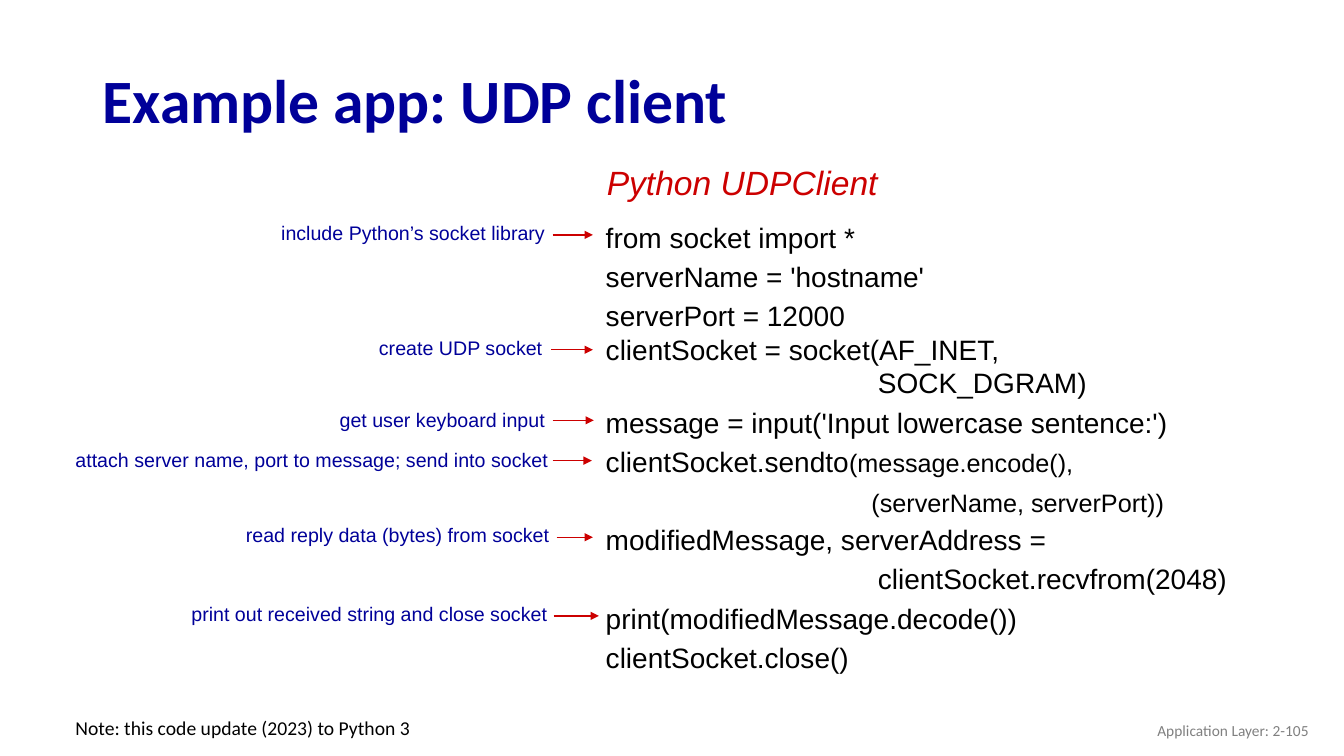
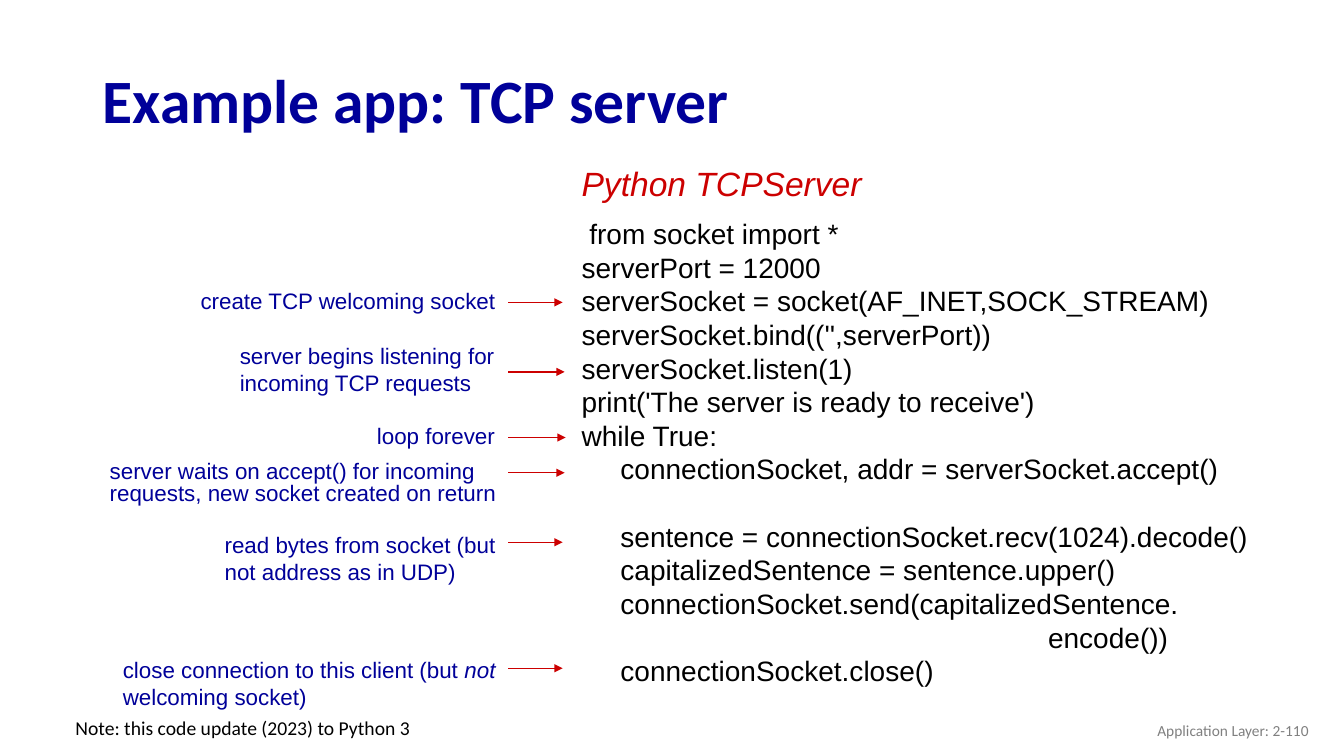
from lxml import etree
from pptx import Presentation
from pptx import util as u
from pptx.dml import color
from pptx.enum import shapes, text
from pptx.oxml import ns

NAVY = color.RGBColor(0x00, 0x00, 0x99)
RED = color.RGBColor(0xCC, 0x00, 0x00)
BLACK = color.RGBColor(0x00, 0x00, 0x00)
GRAY = color.RGBColor(0x80, 0x80, 0x80)

TITLE = {"name": "Calibri", "size": 44, "bold": True, "color": NAVY}
HEAD = {"name": "Arial", "size": 24, "italic": True, "color": RED}
CODE = {"name": "Arial", "size": 20, "color": BLACK}
LABEL = {"name": "Arial", "size": 14, "color": NAVY}
FOOT = {"name": "Calibri", "size": 14, "color": BLACK}
PAGE = {"name": "Calibri", "size": 11, "color": GRAY}

UDP = {
    "title": "Example app: UDP client",
    "head": "Python UDPClient",
    "head_box": (5.92, 1.56, 3.2, 0.51),
    "code_box": (5.91, 2.08, 6.8, 4.67),
    "page": "Application Layer: 2-105",
    "size": 14,
    "code": [
        ("from socket import *", 28),
        ("serverName = 'hostname'", 28),
        ("serverPort = 12000", 28),
        ("clientSocket = socket(AF_INET,", 24),
        ("                                   SOCK_DGRAM)", 24),
        ("message = input('Input lowercase sentence:')", 28),
        ([("clientSocket.sendto", {}), ("(message.encode(),", {"size": 18})], 28),
        ([("                                      (serverName, serverPort))",
           {"size": 18})], 28),
        ("modifiedMessage, serverAddress =", 28),
        ("                                   clientSocket.recvfrom(2048)", 28),
        ("print(modifiedMessage.decode())", 28),
        ("clientSocket.close()", 28),
    ],
    "notes": [
        ("include Python’s socket library", (2.69, 2.15, 3.31, 0.33), 16, (5.48, 5.88, 0.18)),
        ("create UDP socket", (3.66, 3.28, 3.22, 0.34), None, (5.47, 5.88, 0.19)),
        ("get user keyboard input", (3.27, 4.01, 3.22, 0.33), 16, (5.48, 5.89, 0.16)),
        ("attach server name, port to message; send into socket",
         (0.65, 4.39, 5.16, 0.34), None, (5.48, 5.87, 0.18)),
        ("read reply data (bytes) from socket",
         (2.34, 5.14, 4.47, 0.34), None, (5.52, 5.88, 0.19)),
        ("print out received string and close socket",
         (1.8, 5.92, 4.03, 0.34), None, (5.49, 5.94, 0.19)),
    ],
}

TCP = {
    "title": "Example app: TCP server",
    "head": "Python TCPServer",
    "head_box": (5.67, 1.57, 3.2, 0.51),
    "code_box": (5.67, 2.1, 7.1, 4.81),
    "page": "Application Layer: 2-110",
    "size": 16,
    "code": [
        (" from socket import *", 24),
        ("serverPort = 12000", 24),
        ("serverSocket = socket(AF_INET,SOCK_STREAM)", 24),
        ("serverSocket.bind(('',serverPort))", 24),
        ("serverSocket.listen(1)", 24),
        ("print('The server is ready to receive')", 24),
        ("while True:", 24),
        ("     connectionSocket, addr = serverSocket.accept()", 24),
        ("     sentence = connectionSocket.recv(1024).decode()", 24, 24),
        ("     capitalizedSentence = sentence.upper()", 24),
        ("     connectionSocket.send(capitalizedSentence.", 24),
        ("                                                            encode())", 24),
        ("     connectionSocket.close()", 24),
    ],
    "notes": [
        ("create TCP welcoming socket", (1.89, 2.8, 3.35, 0.37), None, (5.04, 5.58, 0.2)),
        ("server begins listening for incoming TCP requests",
         (2.28, 3.35, 3.14, 0.64), 19.2, (5.04, 5.6, 0.34)),
        ("loop forever", (3.64, 4.18, 2.03, 0.33), 16, (5.04, 5.61, 0.16)),
        ("server waits on accept() for incoming requests, new socket created on return",
         (0.99, 4.53, 4.67, 0.55), 16, (5.04, 5.6, 0.16)),
        ("read bytes from socket (but not address as in UDP)",
         (2.13, 5.22, 3, 0.64), 19.2, (5.04, 5.58, 0.16)),
        ([("close connection to this client (but ", {}), ("not", {"italic": True}),
          (" welcoming socket)", {})],
         (1.12, 6.46, 4.27, 0.64), 19.2, (5.04, 5.58, 0.17)),
    ],
}


def style(font, look):
    """Apply a dict of format values to a font."""
    for key, val in look.items():
        if key == "color":
            font.color.rgb = val
        else:
            setattr(font, key, u.Pt(val) if key == "size" else val)


def write(home, box, lines, look, anchor=text.MSO_ANCHOR.TOP, align=text.PP_ALIGN.LEFT):
    """Place a text box whose lines are (text or runs, spacing, space before)."""
    frame = home.add_textbox(*map(u.Inches, box)).text_frame
    frame.word_wrap = True
    frame.vertical_anchor = anchor
    for i, (words, lead, *gap) in enumerate(lines):
        para = frame.add_paragraph() if i else frame.paragraphs[0]
        para.alignment = align
        if lead:
            para.line_spacing = u.Pt(lead)
        if gap:
            para.space_before = u.Pt(gap[0])
        for part, diff in [(words, {})] if isinstance(words, str) else words:
            run = para.add_run()
            run.text = part
            style(run.font, {**look, **diff})


def arrow(home, left, right, y):
    """Draw a level red arrow pointing right."""
    line = home.add_connector(shapes.MSO_CONNECTOR.STRAIGHT,
                              *map(u.Inches, (left, y, right, y)))
    line.line.color.rgb = RED
    line.line.width = u.Pt(1)
    tail = etree.SubElement(line.line._get_or_add_ln(), ns.qn("a:tailEnd"))
    tail.set("type", "triangle")
    etree.SubElement(line._element.spPr, ns.qn("a:effectLst"))


def note(slide, words, box, lead, reach, size):
    """Group a label with the arrow that leads to its line of code."""
    group = slide.shapes.add_group_shape().shapes
    left, right, drop = reach
    write(group, box, [(words, lead)], {**LABEL, "size": size})
    arrow(group, left, right, box[1] + drop)


def frame(slide, title, page):
    """Add the title, page mark and footnote that all slides share."""
    mid = text.MSO_ANCHOR.MIDDLE
    home = slide.shapes
    write(home, (0.92, 0.49, 11.5, 0.98), [(title, 39.6 / 0.75)], TITLE, mid)
    write(home, (10.08, 7.05, 3, 0.4), [(page, None)], PAGE, mid, text.PP_ALIGN.RIGHT)
    write(home, (0.65, 7.05, 3.8, 0.34),
          [("Note: this code update (2023) to Python 3", None)], FOOT)


def build(deck, data):
    """Add one slide of code with notes beside it."""
    slide = deck.slides.add_slide(deck.slide_layouts[6])
    frame(slide, data["title"], data["page"])
    write(slide.shapes, data["code_box"], data["code"], CODE)
    write(slide.shapes, data["head_box"], [(data["head"], None)], HEAD)
    for item in data["notes"]:
        note(slide, *item, data["size"])


def main():
    """Build and save the deck."""
    deck = Presentation()
    deck.slide_width, deck.slide_height = u.Inches(13.33), u.Inches(7.5)
    for data in (UDP, TCP):
        build(deck, data)
    deck.save("out.pptx")


if __name__ == "__main__":
    main()
